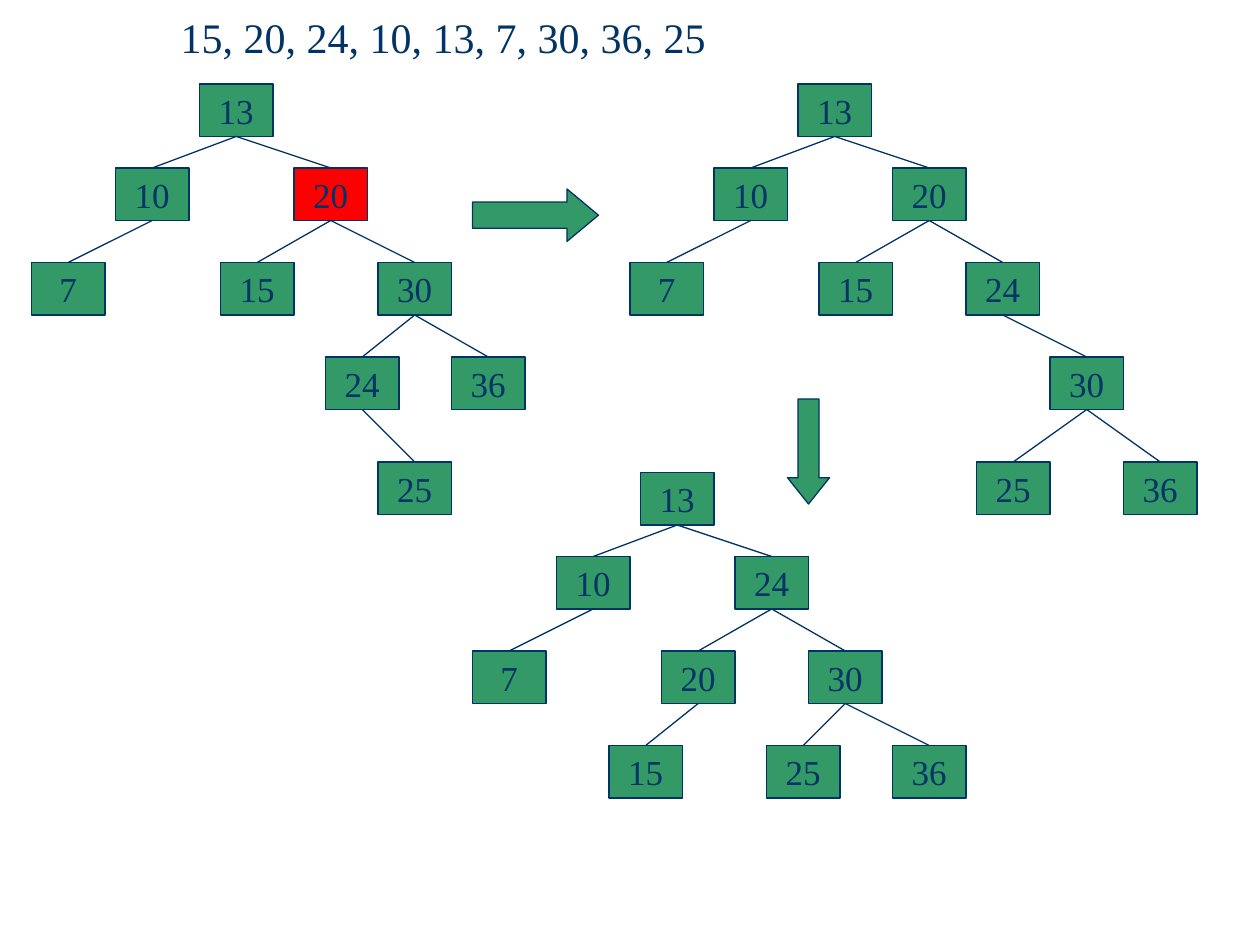
import lxml.etree
import pptx
import pptx.dml.color
import pptx.enum.shapes
import pptx.enum.text
import pptx.oxml.ns
import pptx.util

SHAPE = pptx.enum.shapes.MSO_SHAPE
COLORS = {"ink": "003366", "node": "339966", "unbalanced": "FF0000"}
FONT = "Times New Roman"
CELL = pptx.util.Inches(10) // 120  # the slide is 120 columns by 90 rows
NODE_WIDTH, NODE_HEIGHT = 7, 5
LEVEL_ROWS = [0, 8, 17, 26, 36]
BOTTOM, TOP = 2, 0

# Each tree: key -> (parent key, column, level)
START_TREE = {
    13: (None, 16, 0), 10: (13, 8, 1), 20: (13, 25, 1),
    7: (10, 0, 2), 15: (20, 18, 2), 30: (20, 33, 2),
    24: (30, 28, 3), 36: (30, 40, 3), 25: (24, 33, 4),
}
FIRST_ROTATION = {
    13: (None, 16, 0), 10: (13, 8, 1), 20: (13, 25, 1),
    7: (10, 0, 2), 15: (20, 18, 2), 24: (20, 32, 2),
    30: (24, 40, 3), 25: (30, 33, 4), 36: (30, 47, 4),
}
SECOND_ROTATION = {
    13: (None, 16, 0), 10: (13, 8, 1), 24: (13, 25, 1),
    7: (10, 0, 2), 20: (24, 18, 2), 30: (24, 32, 2),
    15: (20, 13, 3), 25: (30, 28, 3), 36: (30, 40, 3),
}


def rgb(name):
    return pptx.dml.color.RGBColor.from_string(COLORS[name])


def set_line(shape):
    shape.line.color.rgb = rgb("ink")
    shape.line.width = pptx.util.Pt(0.75)


def set_font(para, size):
    for span in para.runs:
        span.font.name = FONT
        span.font.size = pptx.util.Pt(size)
        span.font.color.rgb = rgb("ink")


def add_block(page, kind, box, fill="node"):
    """Add a filled, outlined shape in a box of columns and rows."""
    block = page.shapes.add_shape(kind, *(CELL * length for length in box))
    block.shadow.inherit = False
    block.fill.solid()
    block.fill.fore_color.rgb = rgb(fill)
    set_line(block)
    return block


def add_node(page, key, column, row, fill):
    node = add_block(page, SHAPE.RECTANGLE,
                     (column, row, NODE_WIDTH, NODE_HEIGHT), fill)
    frame = node.text_frame
    frame.text = str(key)
    frame.word_wrap = False
    frame.vertical_anchor = pptx.enum.text.MSO_ANCHOR.MIDDLE
    para = frame.paragraphs[0]
    para.alignment = pptx.enum.text.PP_ALIGN.CENTER
    set_font(para, 20)
    return node


def add_edge(page, parent, child):
    edge = page.shapes.add_connector(
        pptx.enum.shapes.MSO_CONNECTOR.STRAIGHT, 0, 0, 0, 0)
    edge.begin_connect(parent, BOTTOM)
    edge.end_connect(child, TOP)
    set_line(edge)
    properties = edge.element.find(pptx.oxml.ns.qn("p:spPr"))
    lxml.etree.SubElement(properties, pptx.oxml.ns.qn("a:effectLst"))


def add_tree(page, left, top, tree, unbalanced=None):
    nodes = {}
    for key, (parent, column, level) in tree.items():
        fill = "unbalanced" if key == unbalanced else "node"
        nodes[key] = add_node(page, key, left + column,
                              top + LEVEL_ROWS[level], fill)
        if parent is not None:
            add_edge(page, nodes[parent], nodes[key])


def add_arrow(page, kind, box, head_length):
    arrow = add_block(page, kind, box)
    arrow.adjustments[0] = 0.5
    arrow.adjustments[1] = head_length


def add_sequence(page, box, text):
    """Add the list of inserted keys above the trees."""
    heading = page.shapes.add_textbox(*(int(CELL * length) for length in box))
    frame = heading.text_frame
    frame.word_wrap = True
    frame.margin_left = pptx.util.Inches(0.6)
    frame.margin_top = pptx.util.Inches(0.09)
    frame.text = text
    set_font(frame.paragraphs[0], 24)


def main():
    deck = pptx.Presentation()
    deck.slide_width = CELL * 120
    deck.slide_height = CELL * 90
    page = deck.slides.add_slide(deck.slide_layouts[6])

    add_sequence(page, (10, 0, 98, 4.8), "15, 20, 24, 10, 13, 7, 30, 36, 25")
    add_tree(page, 3, 8, START_TREE, unbalanced=20)
    add_arrow(page, SHAPE.RIGHT_ARROW, (45, 18, 12, 5), 0.6)
    add_tree(page, 60, 8, FIRST_ROTATION)
    add_arrow(page, SHAPE.DOWN_ARROW, (75, 38, 4, 10), 0.625)
    add_tree(page, 45, 45, SECOND_ROTATION)

    deck.save("out.pptx")


if __name__ == "__main__":
    main()
